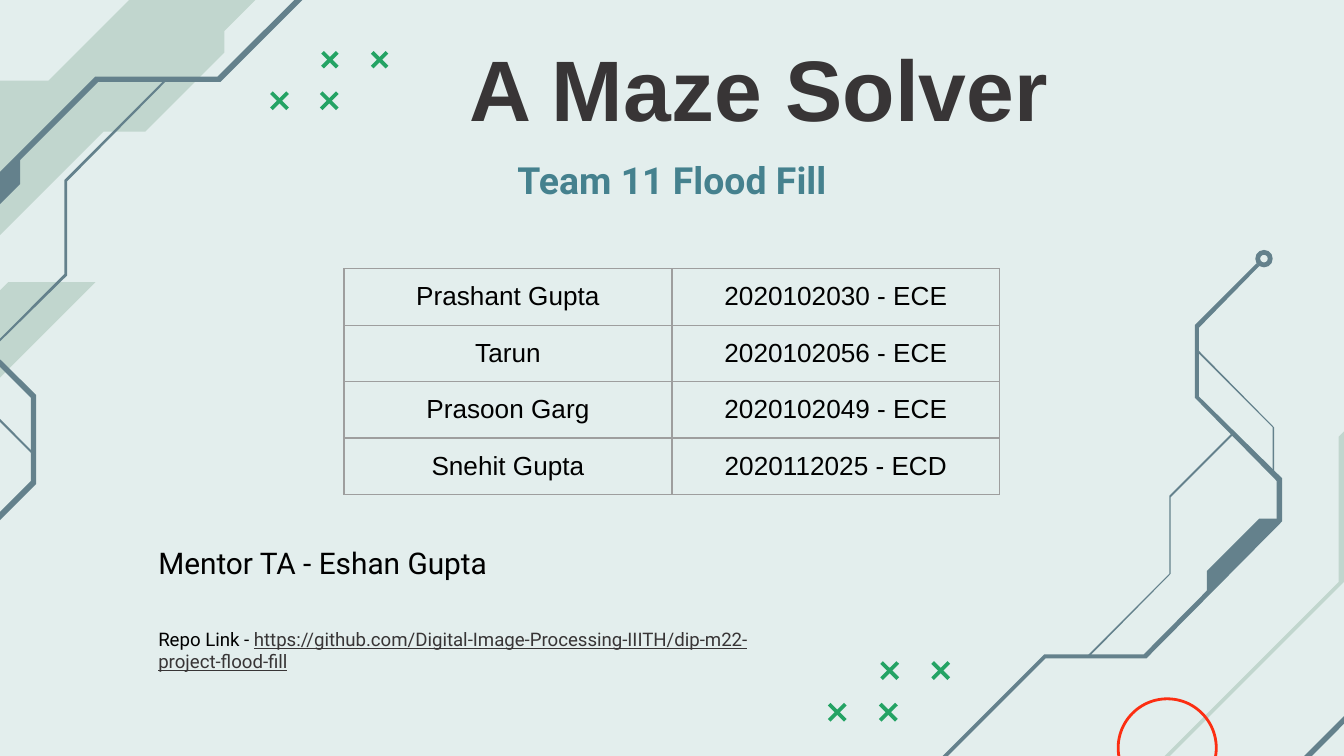
from lxml.etree import SubElement
from pptx import Presentation
from pptx.dml.color import RGBColor
from pptx.enum.shapes import MSO_SHAPE
from pptx.enum.text import MSO_ANCHOR, PP_ALIGN
from pptx.oxml.ns import qn
from pptx.util import Inches, Pt

MINT = RGBColor(0xE3, 0xEE, 0xED)
SAGE = RGBColor(0xC1, 0xD6, 0xCE)
SLATE = RGBColor(0x64, 0x81, 0x8C)
GREEN = RGBColor(0x24, 0xA3, 0x64)
RED = RGBColor(0xFC, 0x2E, 0x12)
CHARCOAL = RGBColor(0x38, 0x35, 0x36)
TEAL = RGBColor(0x45, 0x81, 0x8E)
BLACK = RGBColor(0, 0, 0)
GRAY = RGBColor(0x9E, 0x9E, 0x9E)

prs = Presentation()
prs.slide_width = Inches(10)
prs.slide_height = Inches(10 * 9 / 16)
slide = prs.slides.add_slide(prs.slide_layouts[6])
slide.background.fill.solid()
slide.background.fill.fore_color.rgb = MINT


def write(holder, text, size=14, font="Arial", color=BLACK, bold=False,
          underline=False, align=PP_ALIGN.LEFT, anchor=MSO_ANCHOR.TOP, bottom=0.1):
    holder.vertical_anchor = anchor
    holder.margin_left = holder.margin_right = holder.margin_top = Inches(0.1)
    holder.margin_bottom = Inches(bottom)
    holder.word_wrap = True
    paragraph = getattr(holder, "text_frame", holder).paragraphs[0]
    paragraph.alignment = align
    run = paragraph.add_run()
    run.text = text
    run.font.size = Pt(size)
    run.font.name = font
    run.font.color.rgb = color
    run.font.bold = bold
    run.font.underline = underline


def draw_outline(points, color):
    corners = [(Inches(x), Inches(y)) for x, y in points]
    builder = slide.shapes.build_freeform(*corners[0], scale=1.0)
    builder.add_line_segments(corners[1:], close=True)
    outline = builder.convert_to_shape()
    outline.shadow.inherit = False
    outline.fill.solid()
    outline.fill.fore_color.rgb = color
    outline.line.fill.background()


circuit = [
    (SAGE, [(0.06, 2.1), (-0.49, 2.65), (-0.98, 2.65), (-2.08, 3.74), (-1.05, 3.75),
            (-0.73, 3.43), (-0.62, 3.43), (0.71, 2.1)]),
    (SAGE, [(1.36, -0.4), (0.36, 0.6), (-0.09, 0.6), (-0.66, 1.17), (-0.66, 1.43),
            (-1.02, 1.79), (-0.04, 1.79), (0.77, 0.98), (1.08, 0.98), (1.67, 0.39),
            (1.67, 0.23), (2.3, -0.4)]),
    (SLATE, [(0.15, 1.18), (-0.51, 1.84), (-0.32, 1.84), (0.15, 1.37)]),
    (SLATE, [(2.75, -0.56), (1.62, 0.57), (0.71, 0.57), (-0.53, 1.81), (-0.53, 2.2),
             (0.23, 2.96), (0.23, 3.58), (-0.33, 4.14), (-0.3, 4.17), (0.27, 3.6),
             (0.27, 2.94), (-0.49, 2.19), (-0.49, 1.83), (0.73, 0.61), (1.64, 0.61),
             (2.78, -0.53)]),
    (SLATE, [(1.24, 0.58), (0.48, 1.34), (0.48, 2.04), (-0.09, 2.61), (-0.08, 2.62),
             (0.5, 2.05), (0.5, 1.35), (1.25, 0.59)]),
    (SLATE, [(-0.46, 2.25), (-0.46, 2.68), (0.24, 3.38), (0.25, 3.37), (-0.44, 2.67),
             (-0.44, 2.25)]),
    (SAGE, [(7.15, 7.18), (7.13, 7.16), (9.96, 4.33), (9.96, 3.25), (14.39, -1.17),
            (14.41, -1.15), (11.84, 1.41), (11.84, 2.32), (12.57, 3.03), (12.35, 3.25),
            (10.89, 3.25), (10.43, 3.72), (10.43, 3.91), (9.96, 4.37)]),
    (SLATE, [(8.98, 4.4), (8.98, 4.25), (9.37, 3.86), (9.52, 3.86)]),
    (SLATE, [(6.86, 5.82), (6.84, 5.8), (7.77, 4.87), (8.51, 4.87), (9.5, 3.87),
             (9.5, 3.58), (8.89, 2.96), (8.89, 2.42), (9.35, 1.96), (9.37, 1.98),
             (8.92, 2.44), (8.92, 2.95), (9.54, 3.56), (9.54, 3.88), (8.53, 4.9),
             (7.78, 4.9)]),
    (SLATE, [(8.1, 4.89), (8.09, 4.88), (8.7, 4.27), (8.7, 3.69), (9.17, 3.22),
             (9.18, 3.23), (8.71, 3.7), (8.71, 4.27)]),
    (SLATE, [(9.47, 3.52), (9.47, 3.18), (8.9, 2.61), (8.91, 2.6), (9.48, 3.18),
             (9.48, 3.52)]),
    (SLATE, [(9.27, 6.85), (9.27, 6.06), (10.83, 4.5), (10.83, 4.03), (10.87, 4.03),
             (10.87, 4.51), (9.31, 6.08), (9.31, 6.85)]),
]
for color, points in circuit:
    draw_outline(points, color)

crosses = [(2.39, 0.38, 0.13), (2.76, 0.38, 0.13), (2.01, 0.68, 0.14), (2.38, 0.68, 0.14),
           (6.55, 4.92, 0.14), (6.93, 4.92, 0.14), (6.16, 5.23, 0.14), (6.54, 5.23, 0.14)]
for left, top, size in crosses:
    stroke = [(0.02, 0), (0, 0.02), (size - 0.02, size), (size, size - 0.02)]
    draw_outline([(left + x, top + y) for x, y in stroke], GREEN)
    draw_outline([(left + size - x, top + y) for x, y in stroke], GREEN)

node = slide.shapes.add_shape(MSO_SHAPE.DONUT, Inches(9.34), Inches(1.86),
                              Inches(0.13), Inches(0.13))
node.adjustments[0] = 0.28
node.shadow.inherit = False
node.fill.solid()
node.fill.fore_color.rgb = SLATE
node.line.fill.background()

ring = slide.shapes.add_shape(MSO_SHAPE.OVAL, Inches(8.32), Inches(5.2),
                              Inches(0.73), Inches(0.73))
ring.shadow.inherit = False
ring.fill.background()
ring.line.color.rgb = RED
ring.line.width = Pt(1.5)

title = slide.shapes.add_textbox(Inches(2.06), Inches(0), Inches(7.17), Inches(1.3))
write(title.text_frame, "A Maze Solver", size=46, color=CHARCOAL, bold=True,
      align=PP_ALIGN.CENTER, anchor=MSO_ANCHOR.MIDDLE)

team = slide.shapes.add_textbox(Inches(3.46), Inches(1.08), Inches(3.08), Inches(0.51))
write(team.text_frame, "Team 11 Flood Fill", size=20, font="Roboto", color=TEAL, bold=True,
      align=PP_ALIGN.CENTER, anchor=MSO_ANCHOR.MIDDLE)

members = [
    ("Prashant Gupta", "2020102030 - ECE"),
    ("Tarun", "2020102056 - ECE"),
    ("Prasoon Garg", "2020102049 - ECE"),
    ("Snehit Gupta", "2020112025 - ECD"),
]
roster = slide.shapes.add_table(len(members), 2, Inches(2.56), Inches(2),
                                Inches(4.88), Inches(1.68)).table
roster.first_row = False
roster.horz_banding = False
for row, member in zip(roster.rows, members):
    row.height = Inches(0.42)
    for cell, entry in zip(row.cells, member):
        cell.text_frame.word_wrap = True
        paragraph = cell.text_frame.paragraphs[0]
        paragraph.alignment = PP_ALIGN.CENTER
        write(cell.text_frame, entry, align=PP_ALIGN.CENTER)
        cell.margin_left = cell.margin_right = cell.margin_top = Inches(0.1)
        cell.margin_bottom = Inches(0.08)
        properties = cell._tc.get_or_add_tcPr()
        for side in ("a:lnL", "a:lnR", "a:lnT", "a:lnB"):
            border = SubElement(properties, qn(side), w=str(Pt(0.75)))
            paint = SubElement(border, qn("a:solidFill"))
            SubElement(paint, qn("a:srgbClr"), val=str(GRAY))
        cell.fill.background()

mentor = slide.shapes.add_textbox(Inches(1.08), Inches(3.95), Inches(2.8), Inches(0.47))
write(mentor.text_frame, "Mentor TA - Eshan Gupta", size=16, font="Roboto")

repo = slide.shapes.add_textbox(Inches(1.08), Inches(4.57), Inches(4.96), Inches(0.54))
write(repo.text_frame, "Repo Link - ", size=10, font="Roboto")
write(repo.text_frame,
      "https://github.com/Digital-Image-Processing-IIITH/dip-m22-project-flood-fill",
      size=10, font="Roboto", color=CHARCOAL, underline=True)

prs.save("out.pptx")
